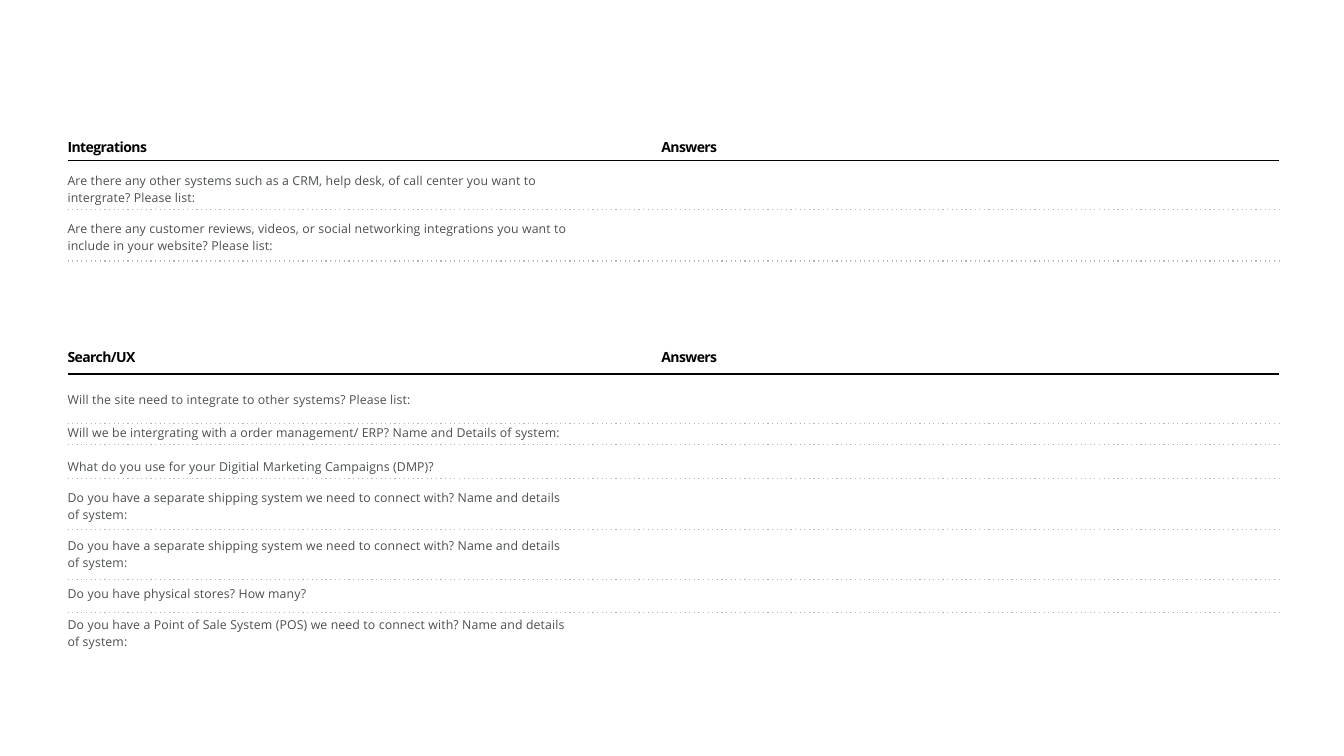
"""Builds a questionnaire slide with two question sections and ruled answer columns."""
import pptx
import pptx.dml.color
import pptx.enum.dml
import pptx.enum.text
import pptx.oxml.ns
import pptx.util
import lxml.etree

Inches = pptx.util.Inches
Pt = pptx.util.Pt
qn = pptx.oxml.ns.qn

THEME = {
    "font": "Open Sans",
    "heading": {"size": 10, "color": "000000", "bold": True, "tracking": -40, "line": 13},
    "question": {"size": 8.8, "color": "4B4F51", "bold": False, "tracking": 10, "line": 11.9},
    "header_rule": "000101",
    "row_rule": "B4B5B7",
    "rule_width": 0.82,
}
LEFT, RIGHT, ANSWER_LEFT = 0.67, 12.69, 6.56

SECTIONS = [
    {
        "name": "Integrations",
        "heading_top": 1.36,
        "header_rule": 1.59,
        "questions_at": (1.7, 5.04, 0.81),
        "row_rules": [2.08, 2.59],
        "questions": [
            ("Are there any other systems such as a CRM, help desk, of call center "
             "you want to intergrate? Please list:", 0),
            ("Are there any customer reviews, videos, or social networking integrations "
             "you want to include in your website? Please list:", 10.5),
        ],
    },
    {
        "name": "Search/UX",
        "heading_top": 3.44,
        "header_rule": 3.71,
        "questions_at": (3.87, 5.01, 2.56),
        "row_rules": [4.2, 4.41, 4.75, 5.25, 5.75, 6.08],
        "questions": [
            ("Will the site need to integrate to other systems? Please list:", 0),
            ("Will we be intergrating with a order management/ ERP? "
             "Name and Details of system:", 12),
            ("What do you use for your Digitial Marketing Campaigns (DMP)?", 12),
            ("Do you have a separate shipping system we need to connect with? "
             "Name and details of system:", 10.5),
            ("Do you have a separate shipping system we need to connect with? "
             "Name and details of system:", 10.5),
            ("Do you have physical stores? How many?", 10.5),
            ("Do you have a Point of Sale System (POS) we need to connect with? "
             "Name and details of system:", 10.5),
        ],
    },
]


def write_text(holder, paragraphs, *, left, top, width, height, style):
    """Place a text holder and fill it with (text, space before) paragraphs."""
    holder.left, holder.top = Inches(left), Inches(top)
    holder.width, holder.height = Inches(width), Inches(height)
    frame = holder.text_frame
    frame.word_wrap = True
    frame.auto_size = pptx.enum.text.MSO_AUTO_SIZE.NONE
    frame.vertical_anchor = pptx.enum.text.MSO_ANCHOR.TOP
    frame.margin_left = frame.margin_right = frame.margin_top = frame.margin_bottom = 0
    for number, (text, space_before) in enumerate(paragraphs):
        paragraph = frame.add_paragraph() if number else frame.paragraphs[0]
        paragraph.line_spacing = Pt(style["line"])
        paragraph.space_before = Pt(space_before)
        paragraph.space_after = Pt(0)
        layout = paragraph._p.get_or_add_pPr()
        layout.set("marL", "0")
        layout.set("indent", "0")
        lxml.etree.SubElement(layout, qn("a:buNone"))
        run = paragraph.add_run()
        run.text = text
        run.font.name = THEME["font"]
        run.font.size = Pt(style["size"])
        run.font.bold = style["bold"]
        run.font.color.rgb = pptx.dml.color.RGBColor.from_string(style["color"])
        run._r.get_or_add_rPr().set("spc", str(style["tracking"]))


def draw_rule(slide, top, color, dotted):
    """Draw a full-width horizontal rule, solid or dotted."""
    rule = slide.shapes.add_connector(
        pptx.enum.shapes.MSO_CONNECTOR.STRAIGHT,
        Inches(LEFT), Inches(top), Inches(RIGHT), Inches(top))
    rule.line.color.rgb = pptx.dml.color.RGBColor.from_string(color)
    rule.line.width = Pt(THEME["rule_width"])
    properties = rule._element.spPr
    if dotted:
        rule.line.dash_style = pptx.enum.dml.MSO_LINE.ROUND_DOT
        properties.find(".//" + qn("a:prstDash")).set("val", "dot")
    lxml.etree.SubElement(properties, qn("a:effectLst"))


deck = pptx.Presentation()
deck.slide_width, deck.slide_height = Inches(13.33), Inches(7.5)
slide = deck.slides.add_slide(deck.slide_layouts.get_by_name("Comparison"))
title = slide.shapes.title._element
title.getparent().remove(title)
bodies = {body.placeholder_format.idx: body for body in slide.placeholders}

for section, heading_idx in zip(SECTIONS, (1, 3)):
    draw_rule(slide, section["header_rule"], THEME["header_rule"], dotted=False)
    for row_rule in section["row_rules"]:
        draw_rule(slide, row_rule, THEME["row_rule"], dotted=True)

    answers = slide.shapes.add_textbox(0, 0, 0, 0)
    for holder, label, left in ((bodies[heading_idx], section["name"], LEFT),
                                (answers, "Answers", ANSWER_LEFT)):
        write_text(holder, [(label, 0)], left=left, top=section["heading_top"],
                   width=1, height=0.18, style=THEME["heading"])

    top, width, height = section["questions_at"]
    write_text(bodies[heading_idx + 1], section["questions"], left=LEFT, top=top,
               width=width, height=height, style=THEME["question"])

deck.save("out.pptx")
